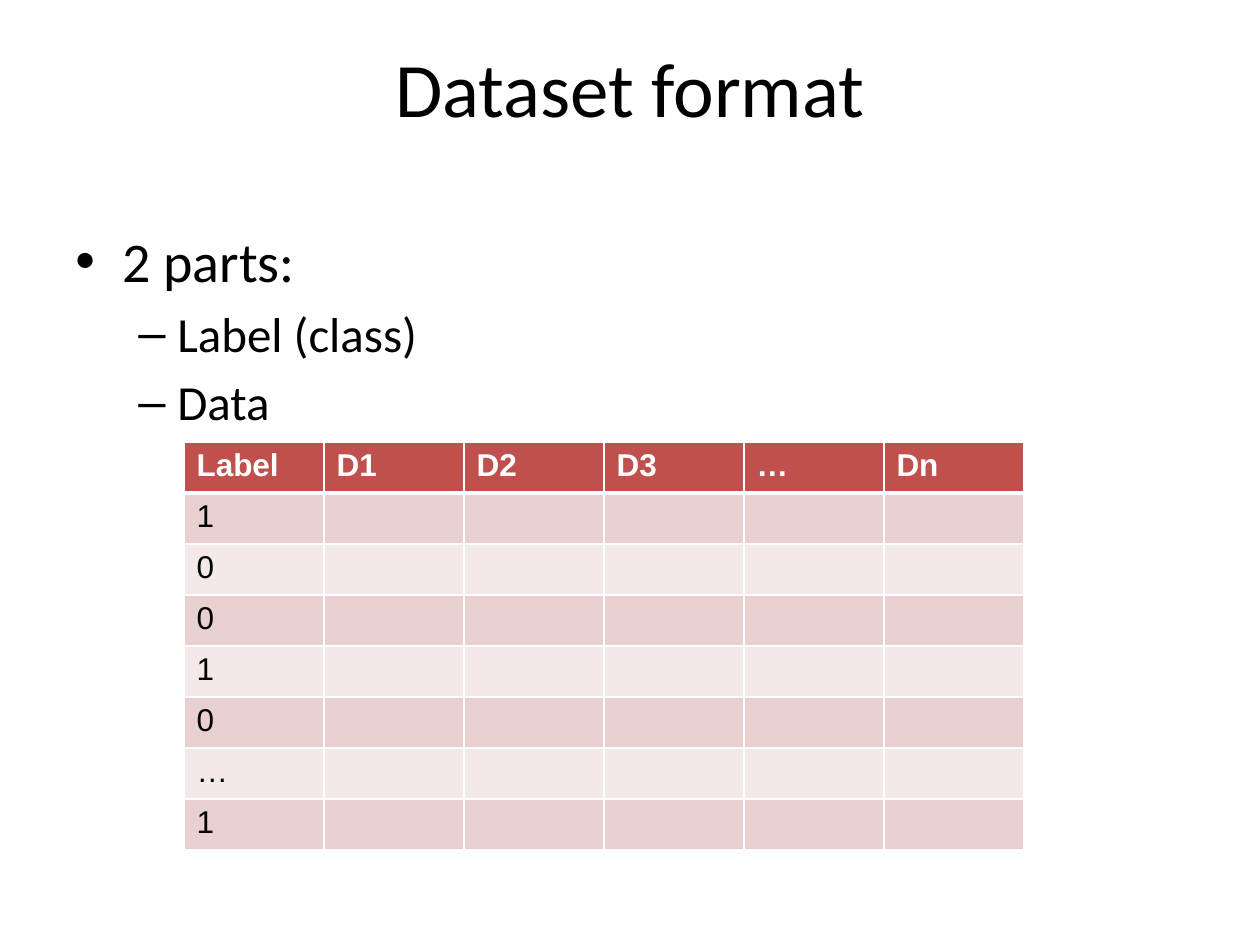
import pptx
import pptx.dml.color
import pptx.enum.text
import pptx.oxml.ns
import pptx.util
from lxml import etree

PX_PER_INCH = 126
COLORS = {
    "text": "000000",
    "white": "FFFFFF",
    "header": "C0504D",
    "band_dark": "E8D0D0",
    "band_light": "F4E9E9",
}
HEADERS = ["Label", "D1", "D2", "D3", "…", "Dn"]
LABELS = ["1", "0", "0", "1", "0", "…", "1"]
# text, level, size in points, bullet, left margin in px, hanging indent in px
OUTLINE = [
    ("2 parts:", 0, 32, "•", 47, 47),
    ("Label (class)", 1, 28, "–", 102, 39),
    ("Data", 1, 28, "–", 102, 39),
]
COLUMN_WIDTH, ROW_HEIGHT = 140, 51


def px(length):
    return pptx.util.Emu(round(length * 914400 / PX_PER_INCH))


def rgb(name):
    return pptx.dml.color.RGBColor.from_string(COLORS[name])


def format_runs(paragraph, font_name, size, color="text", bold=False):
    for run in paragraph.runs:
        run.font.name = font_name
        run.font.size = pptx.util.Pt(size)
        run.font.color.rgb = rgb(color)
        run.font.bold = bold


def add_child(parent, tag, **attributes):
    return etree.SubElement(parent, pptx.oxml.ns.qn(tag), **attributes)


def set_title(slide, text):
    title = slide.shapes.title
    title.left, title.top, title.width, title.height = px(63), px(38), px(1134), px(97)
    frame = title.text_frame
    frame.text = text
    frame.vertical_anchor = pptx.enum.text.MSO_ANCHOR.MIDDLE
    frame.paragraphs[0].alignment = pptx.enum.text.PP_ALIGN.CENTER
    format_runs(frame.paragraphs[0], "Calibri", 44)


def add_outline(slide):
    frame = slide.shapes.add_textbox(px(63), px(220), px(1134), px(624)).text_frame
    frame.word_wrap = True
    for index, (text, level, size, bullet, margin, hanging) in enumerate(OUTLINE):
        paragraph = frame.add_paragraph() if index else frame.paragraphs[0]
        paragraph.text = text
        paragraph.level = level
        paragraph.space_before = pptx.util.Pt(size * 0.2)
        format_runs(paragraph, "Calibri", size)
        properties = paragraph._p.get_or_add_pPr()
        properties.set("marL", str(px(margin)))
        properties.set("indent", str(-px(hanging)))
        add_child(properties, "a:buFont", typeface="Arial")
        add_child(properties, "a:buChar", char=bullet)


def set_borders(cell, top, bottom):
    """Draw white borders; top and bottom are widths in points, the sides are 1 pt."""
    properties = cell._tc.get_or_add_tcPr()
    for side, width in (("L", 1), ("R", 1), ("T", top), ("B", bottom)):
        line = add_child(properties, f"a:ln{side}", w=str(pptx.util.Pt(width)))
        add_child(add_child(line, "a:solidFill"), "a:srgbClr", val=COLORS["white"])


def fill_cell(cell, fill, text, color, bold):
    cell.fill.solid()
    cell.fill.fore_color.rgb = rgb(fill)
    if text:
        cell.text = text
        format_runs(cell.text_frame.paragraphs[0], "Arial", 18, color, bold)


def add_dataset_table(slide):
    rows = [HEADERS] + [[label] + [""] * (len(HEADERS) - 1) for label in LABELS]
    table = slide.shapes.add_table(
        len(rows), len(HEADERS), px(184), px(442),
        px(COLUMN_WIDTH * len(HEADERS)), px(ROW_HEIGHT * len(rows)),
    ).table
    for column in table.columns:
        column.width = px(COLUMN_WIDTH)
    for row_index, texts in enumerate(rows):
        table.rows[row_index].height = px(ROW_HEIGHT)
        is_header = row_index == 0
        band = "band_dark" if row_index % 2 else "band_light"
        for column_index, text in enumerate(texts):
            cell = table.cell(row_index, column_index)
            set_borders(cell, 3 if row_index == 1 else 1, 3 if is_header else 1)
            fill_cell(cell, "header" if is_header else band, text,
                      "white" if is_header else "text", is_header)


def main():
    presentation = pptx.Presentation()
    presentation.slide_width, presentation.slide_height = px(1260), px(945)
    slide = presentation.slides.add_slide(presentation.slide_layouts[5])
    set_title(slide, "Dataset format")
    add_outline(slide)
    add_dataset_table(slide)
    presentation.save("out.pptx")


if __name__ == "__main__":
    main()
